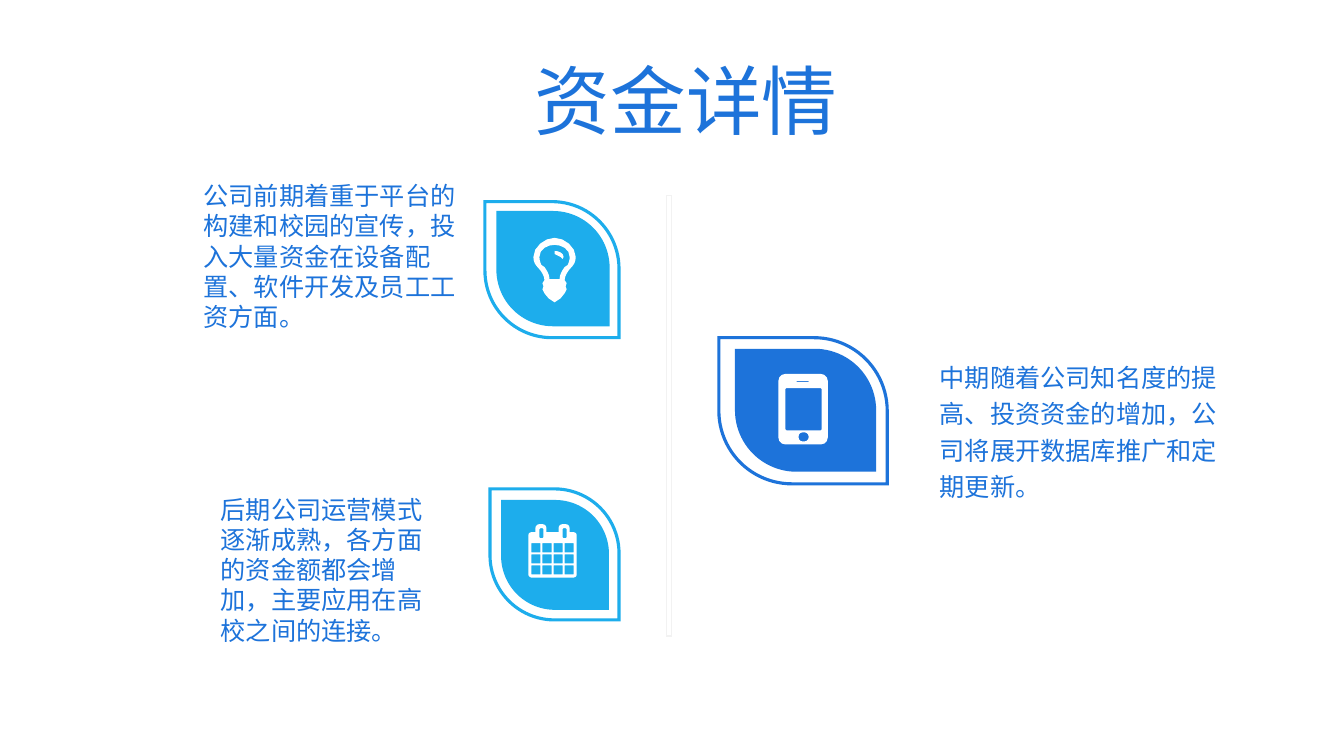
from dataclasses import dataclass
from math import cos, dist, pi, sin

from lxml import etree
from pptx import Presentation
from pptx.dml.color import RGBColor
from pptx.enum.shapes import MSO_SHAPE
from pptx.enum.text import MSO_ANCHOR, MSO_AUTO_SIZE, PP_ALIGN
from pptx.oxml.ns import qn
from pptx.shapes.autoshape import Shape
from pptx.shapes.shapetree import GroupShapes
from pptx.slide import Slide
from pptx.util import Inches, Pt

LEAF = MSO_SHAPE.ROUND_2_DIAG_RECTANGLE
RECTANGLE = MSO_SHAPE.RECTANGLE
TOP, MIDDLE = MSO_ANCHOR.TOP, MSO_ANCHOR.MIDDLE
LEFT, CENTER = PP_ALIGN.LEFT, PP_ALIGN.CENTER
GROW, FIXED = MSO_AUTO_SIZE.SHAPE_TO_FIT_TEXT, MSO_AUTO_SIZE.NONE

Point = tuple[float, float]
Contour = list[Point]
Frame = tuple[float, float, float, float]


@dataclass(frozen=True)
class Theme:
    font: str = "Noto Sans CJK SC"
    blue: RGBColor = RGBColor(0x1D, 0x73, 0xDA)
    sky: RGBColor = RGBColor(0x1D, 0xAD, 0xEC)
    white: RGBColor = RGBColor(0xFF, 0xFF, 0xFF)
    pale: RGBColor = RGBColor(0xF2, 0xF2, 0xF2)
    title_size: float = 54
    title_pitch: float = 57
    body_size: float = 18
    body_pitch: float = 21.6
    loose_pitch: float = 25.9


THEME = Theme()


@dataclass(frozen=True)
class Stage:
    text: str
    text_frame: Frame
    outer: Frame
    inner: Frame
    color: RGBColor
    icon: list[Contour]
    inner_line: float = 0
    pitch: float = THEME.body_pitch
    anchor: MSO_ANCHOR = TOP
    auto_size: MSO_AUTO_SIZE = GROW
    side_margins: Point = (0.1, 0.1)


def curve(start: Point, segments: list[tuple[Point, Point, Point]]) -> Contour:
    points = [start]
    for first, second, end in segments:
        origin = points[-1]
        steps = 4 if dist(origin, end) > 0.08 else 1
        for step in range(1, steps + 1):
            t = step / steps
            weights = ((1 - t) ** 3, 3 * t * (1 - t) ** 2, 3 * t * t * (1 - t), t ** 3)
            knots = (origin, first, second, end)
            points.append((sum(w * k[0] for w, k in zip(weights, knots)),
                           sum(w * k[1] for w, k in zip(weights, knots))))
    return points


def rounded(frame: Frame, top_radius: float = 0, bottom_radius: float = 0) -> Contour:
    left, top, width, height = frame
    right, bottom = left + width, top + height
    low, high = bottom_radius, top_radius
    corners = ((left + low, bottom - low, low), (left + high, top + high, high),
               (right - high, top + high, high), (right - low, bottom - low, low))
    points = []
    for index, (x, y, radius) in enumerate(corners):
        steps = 3 if radius > 0.02 else 1 if radius else 0
        for step in range(steps + 1):
            angle = pi / 2 * (1 + index + step / max(steps, 1))
            points.append((x + radius * cos(angle), y + radius * sin(angle)))
    return points


def mirrored(half: Contour, axis: float) -> Contour:
    right = [(axis + x, y) for x, y in half]
    return right + [(axis - x, y) for x, y in reversed(half)]


def bulb_icon() -> list[Contour]:
    glass = curve((0, 2.36), [
        ((0.1, 2.36), (0.21, 2.45), (0.21, 2.55)),
        ((0.21, 2.6), (0.19, 2.63), (0.16, 2.66)),
        ((0.13, 2.69), (0.1, 2.74), (0.1, 2.78)),
        ((0.11, 2.79), (0.12, 2.8), (0.12, 2.81)),
        ((0.12, 2.82), (0.11, 2.83), (0.11, 2.84)),
        ((0.11, 2.84), (0.12, 2.85), (0.12, 2.87)),
        ((0.12, 2.89), (0.11, 2.9), (0.1, 2.91)),
        ((0.1, 2.94), (0.08, 2.96), (0.06, 2.96)),
        ((0.05, 2.99), (0.03, 3), (0, 3)),
    ])
    hollow = curve((0, 2.43), [
        ((0.07, 2.43), (0.15, 2.47), (0.15, 2.55)),
        ((0.15, 2.58), (0.14, 2.61), (0.13, 2.63)),
        ((0.12, 2.64), (0.11, 2.64), (0.1, 2.65)),
        ((0.07, 2.69), (0.05, 2.73), (0.05, 2.77)),
    ])
    glint = curve((5.58, 2.57), [
        ((5.57, 2.57), (5.56, 2.56), (5.56, 2.55)),
        ((5.56, 2.53), (5.52, 2.52), (5.5, 2.52)),
        ((5.48, 2.52), (5.48, 2.49), (5.5, 2.49)),
        ((5.54, 2.49), (5.59, 2.51), (5.59, 2.55)),
        ((5.59, 2.56), (5.58, 2.57), (5.58, 2.57)),
    ])
    return [mirrored(glass, 5.5), mirrored(hollow, 5.5), glint]


def phone_icon() -> list[Contour]:
    return [rounded((7.72, 3.71, 0.49, 0.7), 0.07, 0.07),
            rounded((7.79, 3.85, 0.36, 0.42), 0.01, 0.01),
            rounded((7.9, 3.78, 0.12, 0.01)),
            rounded((7.92, 4.29, 0.1, 0.09), 0.04, 0.04)]


def calendar_icon() -> list[Contour]:
    ring_lefts = (5.31, 5.54)
    body = rounded((5.24, 5.28, 0.48, 0.45), 0.03, 0.03)
    rings = [point for left in ring_lefts
             for point in rounded((left, 5.2, 0.11, 0.08), 0.04)]
    half = len(body) // 2
    slots = [rounded((left + 0.04, 5.24, 0.04, 0.1), 0.01, 0.01) for left in ring_lefts]
    days = [rounded((5.27 + 0.11 * column, 5.39 + 0.11 * row, 0.09, 0.09))
            for row in range(3) for column in range(4)]
    return [body[:half] + rings + body[half:], *slots, *days]


def write(box: Shape, text: str, size: float, pitch: float, align: PP_ALIGN) -> None:
    box.text_frame.text = text
    para = box.text_frame.paragraphs[0]
    para.alignment = align
    para.line_spacing = Pt(pitch)
    para._p.get_or_add_pPr().set("hangingPunct", "0")
    for span in para.runs:
        span.font.size = Pt(size)
        span.font.color.rgb = THEME.blue
        span.font.name = THEME.font
        etree.SubElement(span._r.get_or_add_rPr(), qn("a:ea"), typeface=THEME.font)


def paint(shape: Shape, fill: RGBColor | None, line: RGBColor, width: float) -> None:
    shape.shadow.inherit = False
    if fill is None:
        shape.fill.background()
    else:
        shape.fill.solid()
        shape.fill.fore_color.rgb = fill
    if width:
        shape.line.color.rgb = line
        shape.line.width = Pt(width)
        etree.SubElement(shape.line._get_or_add_ln(), qn("a:miter"), lim="800000")
    else:
        shape.line.fill.background()


def add_leaf(shapes: GroupShapes, frame: Frame, fill: RGBColor | None,
             line: RGBColor, width: float) -> None:
    leaf = shapes.add_shape(LEAF, *map(Inches, frame))
    leaf.rotation = 270
    leaf.adjustments[0], leaf.adjustments[1] = 0.5, 0
    paint(leaf, fill, line, width)


def add_icon(shapes: GroupShapes, contours: list[Contour]) -> None:
    outlines = [[(Inches(x), Inches(y)) for x, y in contour] for contour in contours]
    builder = shapes.build_freeform(*outlines[0][0])
    builder.add_line_segments(outlines[0][1:])
    for outline in outlines[1:]:
        builder.move_to(*outline[0])
        builder.add_line_segments(outline[1:])
    paint(builder.convert_to_shape(), THEME.white, THEME.white, 0)


def add_stage(page: Slide, stage: Stage) -> None:
    shapes = page.shapes.add_group_shape().shapes
    add_leaf(shapes, stage.outer, None, stage.color, 2.25)
    add_leaf(shapes, stage.inner, stage.color, stage.color, stage.inner_line)
    add_icon(shapes, stage.icon)
    box = page.shapes.add_textbox(*map(Inches, stage.text_frame))
    frame = box.text_frame
    frame.word_wrap = True
    frame.auto_size = stage.auto_size
    frame.vertical_anchor = stage.anchor
    frame.margin_left, frame.margin_right = map(Inches, stage.side_margins)
    write(box, stage.text, THEME.body_size, stage.pitch, LEFT)


def add_title(page: Slide) -> None:
    title = page.shapes.title
    title.left, title.top, title.width, title.height = map(Inches, (5.19, 0.59, 3.23, 0.94))
    title.text_frame.word_wrap = False
    title.text_frame.auto_size = GROW
    title.text_frame.vertical_anchor = TOP
    write(title, "资金详情", THEME.title_size, THEME.title_pitch, CENTER)


def main() -> None:
    stages = [
        Stage("公司前期着重于平台的构建和校园的宣传，投入大量资金在设备配置、软件开发及员工工资方面。",
              (1.92, 1.74, 2.87, 1.61), (4.8, 2.01, 1.35, 1.33), (4.92, 2.11, 1.13, 1.11),
              THEME.sky, bulb_icon(), 1),
        Stage("中期随着公司知名度的提高、投资资金的增加，公司将展开数据库推广和定期更新。",
              (8.8, 3.93, 3.61, 0.65), (7.24, 3.24, 1.45, 1.67), (7.38, 3.37, 1.22, 1.4),
              THEME.blue, phone_icon(), 0, THEME.loose_pitch, MIDDLE, FIXED, (0.52, 0.31)),
        Stage("后期公司运营模式逐渐成熟，各方面的资金额都会增加，主要应用在高校之间的连接。",
              (2.09, 4.85, 2.29, 1.61), (4.85, 4.86, 1.3, 1.28), (4.96, 4.97, 1.09, 1.07),
              THEME.sky, calendar_icon()),
    ]
    deck = Presentation()
    deck.slide_width, deck.slide_height = Inches(13.33), Inches(7.5)
    page = deck.slides.add_slide(deck.slide_layouts.get_by_name("Title Only"))
    add_title(page)
    divider = page.shapes.add_shape(RECTANGLE, *map(Inches, (6.61, 1.94, 0.05, 4.37)))
    paint(divider, THEME.white, THEME.pale, 1)
    for stage in stages:
        add_stage(page, stage)
    deck.save("out.pptx")


if __name__ == "__main__":
    main()
